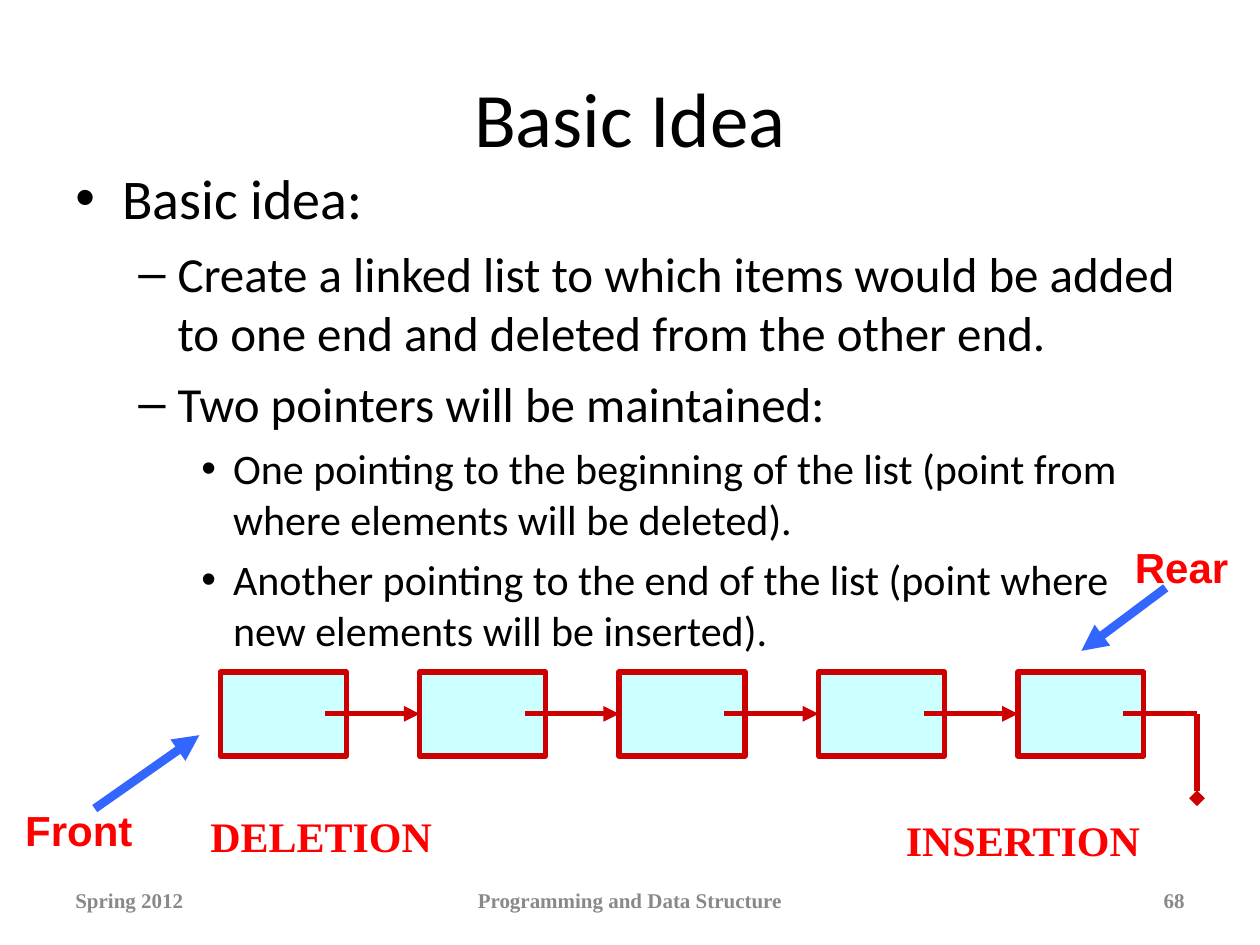
from dataclasses import dataclass

from lxml import etree
from pptx import Presentation
from pptx import util as u
from pptx.dml.color import RGBColor
from pptx.enum import shapes, text
from pptx.oxml.ns import qn

COLORS = {"ink": "000000", "footer": "898989", "label": "FF0000",
          "node": "CCFFFF", "link": "CC0000", "pointer": "3366FF"}
LEFT, CENTER, RIGHT = text.PP_ALIGN.LEFT, text.PP_ALIGN.CENTER, text.PP_ALIGN.RIGHT
TOP, MIDDLE = text.MSO_ANCHOR.TOP, text.MSO_ANCHOR.MIDDLE
NODE_COUNT, NODE_PITCH = 5, 4.02
NODE_LEFT, NODE_TOP, NODE_WIDTH, NODE_HEIGHT = 4.44, 13.55, 2.54, 1.69
LINK_Y, LINK_OFFSET = 14.39, 2.12
END_X, END_Y = 24.13, 16.09


@dataclass
class Label:
    words: str
    left: float
    top: float
    width: float
    height: float
    size: int
    font: str
    color: str
    align: text.PP_ALIGN = LEFT
    anchor: text.MSO_ANCHOR = TOP
    bold: bool = True
    wrap: bool = True


@dataclass
class Level:
    size: int
    indent: float
    hanging: float
    before: int
    bullet: str


@dataclass
class Line:
    x1: float
    y1: float
    x2: float
    y2: float
    color: str = "link"
    width: int = 3
    tail: str = ""


LABELS = [
    Label("Basic Idea", 1.27, 0.76, 22.86, 3.18, 44, "Calibri", "ink", CENTER, MIDDLE, False),
    Label("Spring 2012", 1.27, 17.65, 5.93, 1.01, 12, "Times New Roman", "footer", LEFT, MIDDLE),
    Label("Programming and Data Structure", 8.68, 17.65, 8.04, 1.01, 12, "Times New Roman",
          "footer", CENTER, MIDDLE),
    Label("68", 18.2, 17.65, 5.93, 1.01, 12, "Times New Roman", "footer", RIGHT, MIDDLE),
    Label("Front", 0, 16.09, 3.18, 1.27, 24, "Arial", "label", CENTER),
    Label("Rear", 22.23, 10.8, 3.18, 1.27, 24, "Arial", "label", CENTER),
    Label("DELETION", 3.99, 16.21, 4.98, 1.27, 24, "Times New Roman", "label", wrap=False),
    Label("INSERTION", 18.01, 16.3, 5.26, 1.27, 24, "Times New Roman", "label", wrap=False),
]
LEVELS = [Level(32, 0.95, 0.95, 8, "•"), Level(28, 2.06, 0.79, 7, "–"),
          Level(24, 3.18, 0.64, 6, "•")]
OUTLINE = [
    (0, "Basic idea:"),
    (1, "Create a linked list to which items would be added to one end and deleted "
        "from the other end."),
    (1, "Two pointers will be maintained:"),
    (2, "One pointing to the beginning of the list (point from where elements will be deleted)."),
    (2, "Another pointing to the end of the list (point where new elements will be inserted)."),
]
POINTERS = [Line(1.91, 16.3, 4.02, 14.82, "pointer", 5, "triangle"),
            Line(23.5, 11.85, 21.8, 13.12, "pointer", 5, "triangle")]


def rgb(name: str) -> RGBColor:
    return RGBColor.from_string(COLORS[name])


def set_font(p, name: str, size: int, color: str, bold: bool) -> None:
    p.font.name, p.font.size, p.font.bold = name, u.Pt(size), bold
    p.font.color.rgb = rgb(color)


def add_label(s, label: Label) -> None:
    sp = s.shapes.add_textbox(u.Cm(label.left), u.Cm(label.top),
                              u.Cm(label.width), u.Cm(label.height))
    tf = sp.text_frame
    tf.word_wrap, tf.vertical_anchor = label.wrap, label.anchor
    p = tf.paragraphs[0]
    p.text, p.alignment = label.words, label.align
    set_font(p, label.font, label.size, label.color, label.bold)


def add_outline(s) -> None:
    tf = s.shapes.add_textbox(u.Cm(1.27), u.Cm(3.18), u.Cm(22.86), u.Cm(12.57)).text_frame
    tf.word_wrap = True
    for i, (depth, words) in enumerate(OUTLINE):
        level = LEVELS[depth]
        p = tf.add_paragraph() if i else tf.paragraphs[0]
        p.text, p.level = words, depth
        p.space_before = u.Pt(level.before if i else 0)
        pr = p._p.get_or_add_pPr()
        pr.set("marL", str(u.Cm(level.indent)))
        pr.set("indent", str(-u.Cm(level.hanging)))
        etree.SubElement(pr, qn("a:buFont"), typeface="Arial")
        etree.SubElement(pr, qn("a:buChar"), char=level.bullet)
        set_font(p, "Calibri", level.size, "ink", False)


def add_node(s, left: float) -> None:
    sp = s.shapes.add_shape(shapes.MSO_SHAPE.RECTANGLE, u.Cm(left), u.Cm(NODE_TOP),
                            u.Cm(NODE_WIDTH), u.Cm(NODE_HEIGHT))
    sp.shadow.inherit = False
    sp.fill.solid()
    sp.fill.fore_color.rgb = rgb("node")
    sp.line.color.rgb = rgb("link")
    sp.line.width = u.Pt(3)


def add_line(s, line: Line) -> None:
    sp = s.shapes.add_connector(shapes.MSO_CONNECTOR.STRAIGHT, u.Cm(line.x1), u.Cm(line.y1),
                                u.Cm(line.x2), u.Cm(line.y2))
    sp.line.color.rgb = rgb(line.color)
    sp.line.width = u.Pt(line.width)
    if line.tail:
        etree.SubElement(sp.line._get_or_add_ln(), qn("a:tailEnd"), type=line.tail)
    etree.SubElement(sp._element.spPr, qn("a:effectLst"))


def main() -> None:
    """Build the linked-list queue slide."""
    prs = Presentation()
    prs.slide_width, prs.slide_height = u.Cm(25.4), u.Cm(19.05)
    s = prs.slides.add_slide(prs.slide_layouts[6])
    add_outline(s)
    lefts = [NODE_LEFT + i * NODE_PITCH for i in range(NODE_COUNT)]
    for left in lefts:
        add_node(s, left)
    links = [Line(left + LINK_OFFSET, LINK_Y, following, LINK_Y, tail="triangle")
             for left, following in zip(lefts, lefts[1:])]
    ending = [Line(lefts[-1] + LINK_OFFSET, LINK_Y, END_X, LINK_Y),
              Line(END_X, LINK_Y, END_X, END_Y, tail="diamond")]
    for line in links + ending + POINTERS:
        add_line(s, line)
    for label in LABELS:
        add_label(s, label)
    prs.save("out.pptx")


if __name__ == "__main__":
    main()
